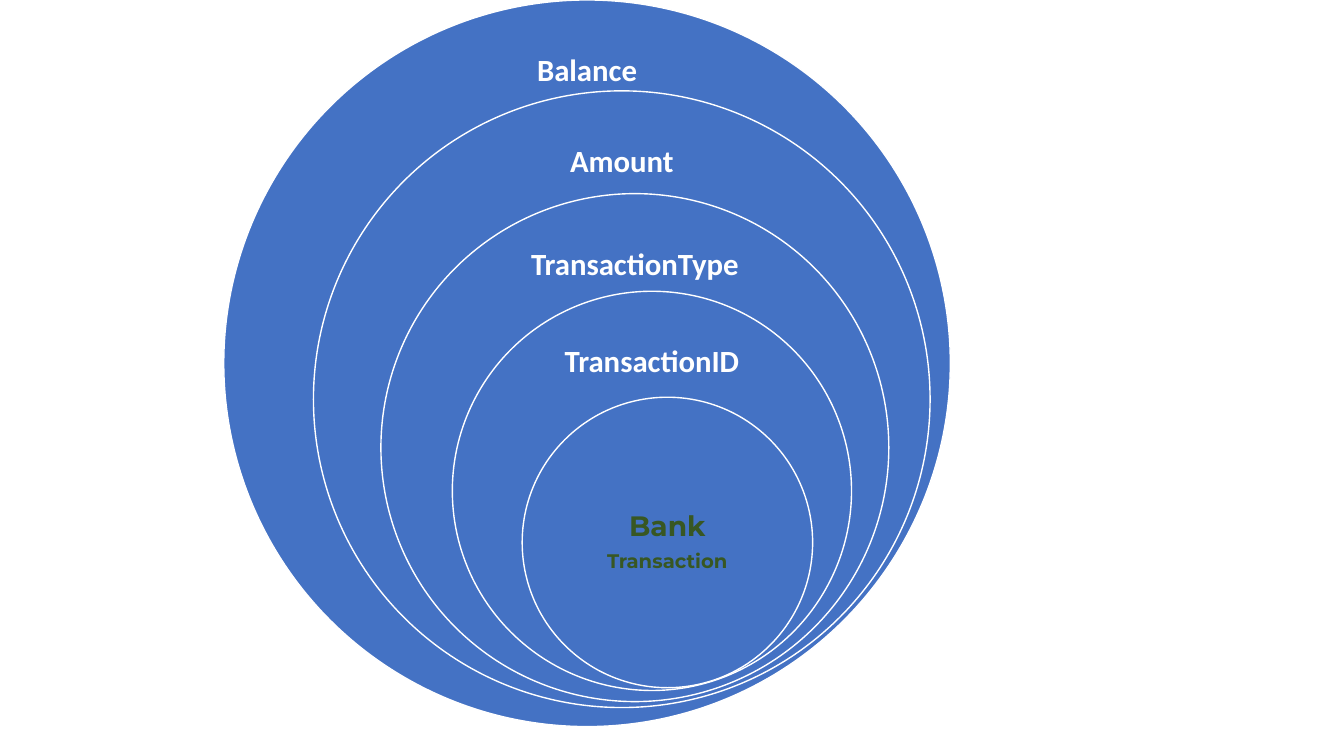
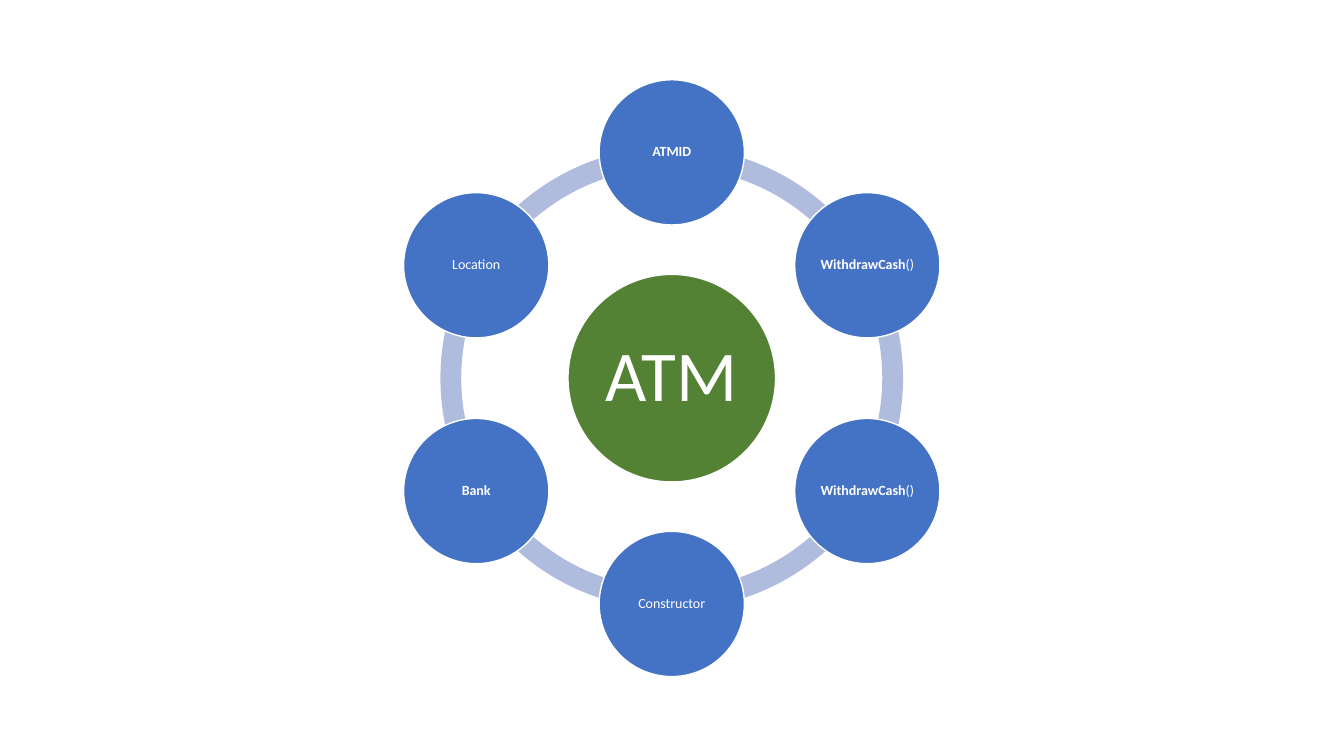
"""Two slides: nested circles of a bank transaction, and a ring of ATM members."""
from math import cos, radians, sin

from pptx import Presentation
from pptx.dml.color import RGBColor
from pptx.enum.shapes import MSO_SHAPE
from pptx.enum.text import MSO_ANCHOR, PP_ALIGN
from pptx.util import Cm, Pt

BLUE = RGBColor(0x44, 0x72, 0xC4)
PALE = RGBColor(0xB0, 0xBC, 0xDE)
GREEN = RGBColor(0x54, 0x82, 0x35)
DARK = RGBColor(0x38, 0x57, 0x23)
WHITE = RGBColor(0xFF, 0xFF, 0xFF)
OVAL, ARC = MSO_SHAPE.OVAL, MSO_SHAPE.BLOCK_ARC
CENTER, MIDDLE = PP_ALIGN.CENTER, MSO_ANCHOR.MIDDLE


def write(shape, *lines, font="Calibri", color=WHITE, pad=0.03):
    frame = shape.text_frame
    frame.word_wrap = True
    frame.vertical_anchor = MIDDLE
    frame.margin_left = frame.margin_right = Cm(pad)
    frame.margin_top = frame.margin_bottom = Cm(pad)
    for i, runs in enumerate(lines):
        para = frame.add_paragraph() if i else frame.paragraphs[0]
        para.alignment = CENTER
        para.line_spacing = 0.9
        if i < len(lines) - 1:
            para.space_after = Pt(7)
        for words, size, bold in runs:
            run = para.add_run()
            run.text = words
            run.font.name = font
            run.font.size = Pt(size)
            run.font.bold = bold
            run.font.color.rgb = color


def draw(slide, kind, left, top, size, fill=BLUE, edge=WHITE):
    shape = slide.shapes.add_shape(kind, Cm(left), Cm(top), Cm(size), Cm(size))
    shape.shadow.inherit = False
    shape.fill.solid()
    shape.fill.fore_color.rgb = fill
    if edge is None:
        shape.line.fill.background()
    else:
        shape.line.color.rgb = edge
        shape.line.width = Pt(1)
    return shape


deck = Presentation()
deck.slide_width, deck.slide_height = Cm(33.87), Cm(19.05)
blank = deck.slide_layouts[6]

# Slide 1
slide = deck.slides.add_slide(blank)
rings = [
    ("Balance", 5.64, 0, 18.31),
    ("Amount", 7.9, 2.29, 15.54),
    ("TransactionType", 9.6, 4.88, 12.8),
    ("TransactionID", 11.4, 7.34, 10.06),
]
wide, high = 6.8, 1.8
for name, left, top, size in rings:
    draw(slide, OVAL, left, top, size)
    label = slide.shapes.add_textbox(
        Cm(left + (size - wide) / 2), Cm(top + 0.9), Cm(wide), Cm(high))
    write(label, [(name, 22, True)], pad=0.43)
core = draw(slide, OVAL, 13.16, 10.01, 7.32)
write(core, [("Bank", 20, True)], [("Transaction", 14, True)],
      font="Montserrat", color=DARK, pad=0.4)

# Slide 2
slide = deck.slides.add_slide(blank)
mid_x, mid_y = 16.93, 9.53
ring, hub, node, reach = 11.66, 5.23, 3.66, 5.69
parts = [
    [("ATMID", 10, True)],
    [("WithdrawCash", 10, True), ("()", 10, False)],
    [("WithdrawCash", 10, True), ("()", 10, False)],
    [("Constructor", 10, False)],
    [("Bank", 10, True)],
    [("Location", 10, False)],
]
step = 360 / len(parts)
turns = [i * step - 90 for i in range(len(parts))]
for turn in turns:
    arc = draw(slide, ARC, mid_x - ring / 2, mid_y - ring / 2, ring,
               fill=PALE, edge=None)
    arc.adjustments[0] = turn % 360 * 0.6
    arc.adjustments[1] = (turn + step) % 360 * 0.6
    arc.adjustments[2] = 0.045
center = draw(slide, OVAL, mid_x - hub / 2, mid_y - hub / 2, hub, fill=GREEN)
write(center, [("ATM", 51, False)], pad=0.18)
for turn, runs in zip(turns, parts):
    left = mid_x + reach * cos(radians(turn)) - node / 2
    top = mid_y + reach * sin(radians(turn)) - node / 2
    write(draw(slide, OVAL, left, top, node), runs)

deck.save("out.pptx")
